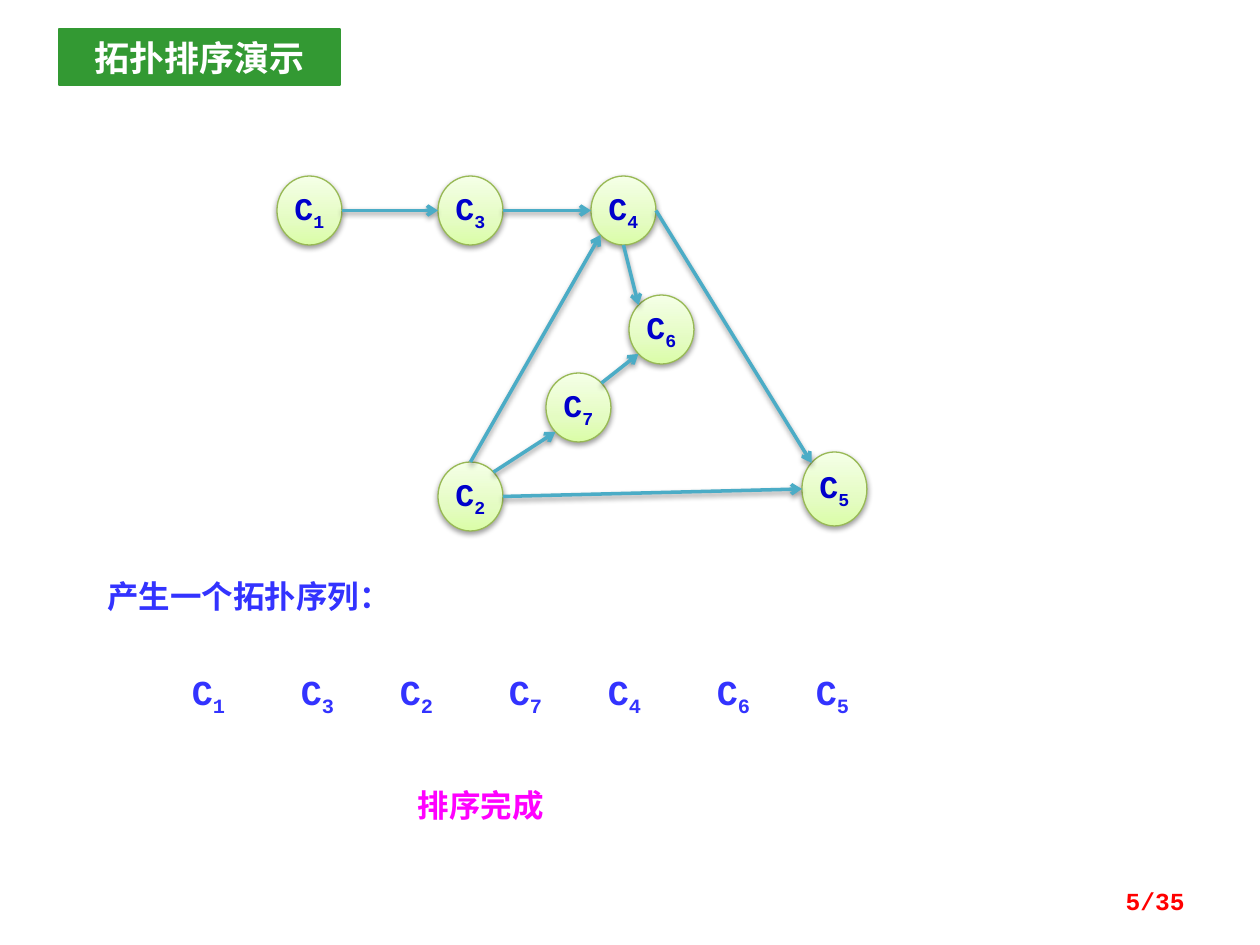
import copy
import math

import pptx
import pptx.dml.color
import pptx.enum.shapes
import pptx.enum.text
import pptx.oxml
import pptx.oxml.ns
import pptx.util
from lxml import etree

PX = 914400 / 126
MONO, SANS = "Courier New", "Noto Sans CJK SC"
BLUE, EDGE = "3333FF", "4BACC6"
ALIGN = pptx.enum.text.PP_ALIGN
ANCHOR = pptx.enum.text.MSO_ANCHOR
SHAPE = pptx.enum.shapes.MSO_SHAPE
qn = pptx.oxml.ns.qn

# Vertex number: left, top, width, height
NODES = {
    1: (277, 176, 65, 69), 3: (438, 176, 65, 69), 4: (591, 176, 65, 69),
    2: (438, 462, 65, 69), 7: (546, 373, 65, 69), 6: (629, 295, 65, 69),
    5: (802, 452, 65, 74),
}
# From vertex and angle on its rim, to vertex and angle (clockwise from right)
EDGES = [
    (2, 315, 7, 135), (7, 315, 6, 135), (2, 0, 5, 180), (4, 0, 5, 225),
    (4, 90, 6, 225), (2, 270, 4, 135), (1, 0, 3, 180), (3, 0, 4, 180),
]
ORDER = [1, 3, 2, 7, 4, 6, 5]


def px(n):
    return pptx.util.Emu(round(n * PX))


def rgb(value):
    return pptx.dml.color.RGBColor.from_string(value)


def write(sp, text, size, color, name=MONO, align=ALIGN.CENTER, sub=None):
    """Fill a shape with one bold line and an optional subscript."""
    p = sp.text_frame.paragraphs[0]
    p.alignment = align
    p.font.name, p.font.size, p.font.bold = name, pptx.util.Pt(size), True
    p.font.color.rgb = rgb(color)
    r = p.add_run()
    r.text = text
    if name == SANS:
        ea = etree.SubElement(r._r.get_or_add_rPr(), qn("a:ea"))
        ea.set("typeface", name)
    if sub is not None:
        r = p.add_run()
        r.text = str(sub)
        r._r.get_or_add_rPr().set("baseline", "-25000")


def add_text(slide, box, text, size, color, inset=True, **style):
    sp = slide.shapes.add_textbox(*map(px, box))
    tf = sp.text_frame
    tf.word_wrap = True
    if not inset:
        tf.margin_left = tf.margin_right = tf.margin_top = tf.margin_bottom = 0
    write(sp, text, size, color, **style)
    return sp


def add_shadow(sp):
    spPr = sp._element.spPr
    effects = spPr.find(qn("a:effectLst"))
    if effects is None:
        effects = etree.SubElement(spPr, qn("a:effectLst"))
    effects.append(pptx.oxml.parse_xml(
        '<a:outerShdw xmlns:a="http://schemas.openxmlformats.org/drawingml/2006/main"'
        ' blurRad="40000" dist="20000" dir="5400000" rotWithShape="0">'
        '<a:srgbClr val="000000"><a:alpha val="38000"/></a:srgbClr></a:outerShdw>'))


def add_title(slide, box, text):
    sp = slide.shapes.add_shape(SHAPE.RECTANGLE, *map(px, box))
    sp.shadow.inherit = False
    sp.fill.solid()
    sp.fill.fore_color.rgb = sp.line.color.rgb = rgb("339933")
    sp.line.width = pptx.util.Pt(1.5)
    write(sp, text, 20, "FFFFFF", name=SANS)


def add_node(slide, number, box):
    sp = slide.shapes.add_shape(SHAPE.OVAL, *map(px, box))
    # Three-stop gradient, running upwards
    sp.fill.gradient()
    sp.fill.gradient_angle = 90
    stops = sp._element.spPr.find(".//" + qn("a:gsLst"))
    stops.insert(1, copy.deepcopy(stops[0]))
    colors = [(0, "DAFDA7"), (0.35, "E4FCC2"), (1, "F5FFE7")]
    for stop, (position, color) in zip(sp.fill.gradient_stops, colors):
        stop.position = position
        stop.color.rgb = rgb(color)
    sp.line.color.rgb = rgb("98B955")
    sp.line.width = pptx.util.Pt(0.75)
    sp.shadow.inherit = False
    add_shadow(sp)
    sp.text_frame.word_wrap = False
    sp.text_frame.vertical_anchor = ANCHOR.MIDDLE
    write(sp, "C", 18, "0000CC", sub=number)


def rim(number, degrees):
    left, top, width, height = NODES[number]
    a = math.radians(degrees)
    return (px(left + width / 2 * (1 + math.cos(a))),
            px(top + height / 2 * (1 + math.sin(a))))


def add_edge(slide, start, end):
    line = slide.shapes.add_connector(
        pptx.enum.shapes.MSO_CONNECTOR.STRAIGHT, *start, *end)
    line.line.color.rgb = rgb(EDGE)
    line.line.width = pptx.util.Pt(2)
    tail = etree.SubElement(line.line._get_or_add_ln(), qn("a:tailEnd"))
    tail.set("type", "arrow")
    add_shadow(line)


def main():
    prs = pptx.Presentation()
    prs.slide_width, prs.slide_height = px(1260), px(945)
    slide = prs.slides.add_slide(prs.slide_layouts[6])

    # Title and captions
    add_title(slide, (59, 29, 281, 56), "拓扑排序演示")
    add_text(slide, (95, 571, 329, 50), "产生一个拓扑序列：", 18, BLUE,
             align=ALIGN.LEFT)

    # Resulting sequence, set in pairs
    for i, number in enumerate(ORDER):
        left = 164 + 208 * (i // 2) + 109 * (i % 2)
        add_text(slide, (left, 670, 89, 43), "C", 20, BLUE, inset=False,
                 sub=number)
    add_text(slide, (362, 780, 238, 50), "排序完成", 18, "FF00FF", name=SANS)

    # Graph
    for number, box in NODES.items():
        add_node(slide, number, box)
    for tail, tail_angle, head, head_angle in EDGES:
        add_edge(slide, rim(tail, tail_angle), rim(head, head_angle))

    # Page number
    page = add_text(slide, (903, 876, 294, 50), "5/35", 14, "FF0000",
                    align=ALIGN.RIGHT)
    page.text_frame.vertical_anchor = ANCHOR.MIDDLE

    prs.save("out.pptx")


if __name__ == "__main__":
    main()
